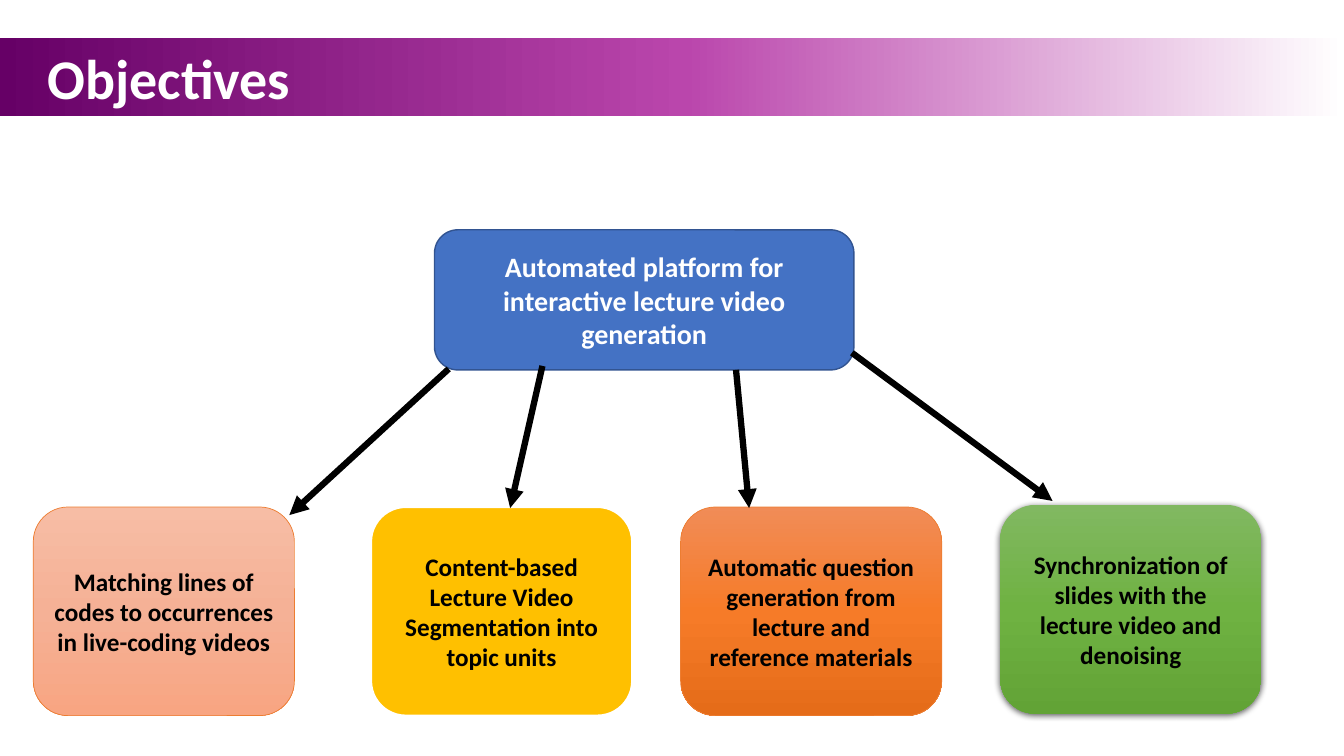
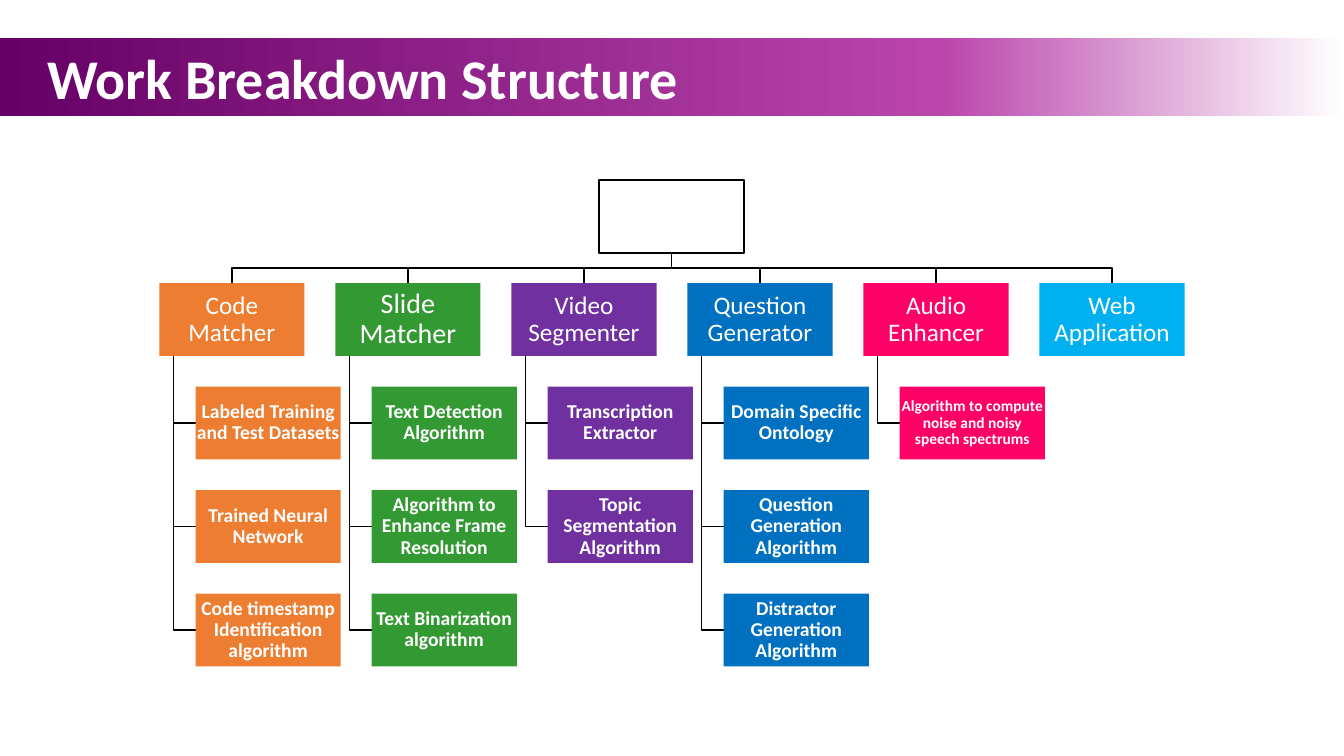
from lxml import etree
from pptx import Presentation
from pptx import util as u
from pptx.dml import color
from pptx.enum import shapes, text
from pptx.oxml import ns

COLOURS = {
    "white": "FFFFFF", "black": "000000", "plum": "660066", "orchid": "BA46AC",
    "blue": "4472C4", "navy": "325491", "orange": "ED7D31", "gold": "FFC000",
    "green": "339933", "purple": "7030A0", "azure": "0070C0",
    "pink": "FF0066", "sky": "00B0F0",
}
# Vertical gradients, from top to middle to bottom
SHADES = {
    "peach": ("F7BDA5", "F5B196", "F8A582"),
    "tangerine": ("F18C57", "F67B28", "E56C19"),
    "leaf": ("81B861", "6FB242", "62A336"),
}


def rgb(name):
    return color.RGBColor.from_string(COLOURS[name])


def add_xml(parent, tag, **attributes):
    return etree.SubElement(parent, ns.qn(tag), attributes)


class Board:
    """Holds the shared style and the slide being drawn."""

    font = "Calibri"

    def __init__(self):
        self.deck = Presentation()
        self.deck.slide_width = u.Inches(13.33)
        self.deck.slide_height = u.Inches(7.5)
        self.page = None

    def start_page(self, title, middle_stop):
        """Open a slide whose title is a band fading to white."""
        self.page = self.deck.slides.add_slide(self.deck.slide_layouts[5])
        band = self.page.shapes.title
        band.left, band.top = u.Inches(0), u.Inches(0.38)
        band.width, band.height = u.Inches(13.33), u.Inches(0.77)
        self.gradient(band, (COLOURS["plum"], COLOURS["orchid"], COLOURS["white"]),
                      middle_stop, 0)
        self.label(band, title, 40, "white", True, text.PP_ALIGN.LEFT)
        band.text_frame.margin_left = u.Inches(0.47)

    def gradient(self, shape, hexes, middle_stop, angle):
        shape.fill.gradient()
        shape.fill.gradient_angle = angle
        stops = shape.element.spPr.find(ns.qn("a:gradFill")).find(ns.qn("a:gsLst"))
        for stop in list(stops):
            stops.remove(stop)
        for position, value in zip((0, middle_stop, 100), hexes):
            stop = add_xml(stops, "a:gs", pos=str(position * 1000))
            add_xml(stop, "a:srgbClr", val=value)

    def label(self, shape, words, size, ink, bold, align=text.PP_ALIGN.CENTER):
        frame = shape.text_frame
        frame.word_wrap = True
        frame.auto_size = text.MSO_AUTO_SIZE.NONE
        frame.vertical_anchor = text.MSO_ANCHOR.MIDDLE
        para = frame.paragraphs[0]
        para.alignment = align
        span = para.add_run()
        span.text = words
        span.font.name, span.font.size = self.font, u.Pt(size)
        span.font.bold, span.font.color.rgb = bold, rgb(ink)

    def box(self, left, top, width, height, fill, line=None, weight=1, rounded=False):
        kind = shapes.MSO_SHAPE.ROUNDED_RECTANGLE if rounded else shapes.MSO_SHAPE.RECTANGLE
        box = self.page.shapes.add_shape(
            kind, u.Inches(left), u.Inches(top), u.Inches(width), u.Inches(height))
        box.shadow.inherit = False
        if fill in SHADES:
            self.gradient(box, SHADES[fill], 50, 270)
        else:
            box.fill.solid()
            box.fill.fore_color.rgb = rgb(fill)
        if line:
            box.line.color.rgb = rgb(line)
            box.line.width = u.Pt(weight)
        else:
            box.line.fill.background()
        return box

    def drop_shadow(self, box):
        effects = box.element.spPr.find(ns.qn("a:effectLst"))
        shadow = add_xml(effects, "a:outerShdw", blurRad=str(u.Pt(4.5)),
                         dist=str(u.Pt(1.5)), dir="5400000", algn="ctr", rotWithShape="0")
        ink = add_xml(shadow, "a:srgbClr", val=COLOURS["black"])
        add_xml(ink, "a:alpha", val="63000")

    def arrow(self, start, end):
        points = [u.Inches(value) for value in (*start, *end)]
        arrow = self.page.shapes.add_connector(shapes.MSO_CONNECTOR.STRAIGHT, *points)
        arrow.line.color.rgb = rgb("black")
        arrow.line.width = u.Pt(4.5)
        properties = arrow.element.spPr
        add_xml(properties.find(ns.qn("a:ln")), "a:tailEnd", type="triangle")
        add_xml(properties, "a:effectLst")

    def branch(self, *points):
        """Draw an open, bent line through the points."""
        first, *rest = [(u.Inches(x), u.Inches(y)) for x, y in points]
        builder = self.page.shapes.build_freeform(*first)
        builder.add_line_segments(rest, close=False)
        line = builder.convert_to_shape()
        line.shadow.inherit = False
        line.fill.background()
        line.line.color.rgb = rgb("black")
        line.line.width = u.Pt(1)


def draw_objectives(board):
    board.start_page("Objectives", 51)

    # Platform
    platform = board.box(4.31, 2.28, 4.16, 1.39, "blue", "navy", rounded=True)
    board.label(platform, "Automated platform for interactive lecture video generation",
                20, "white", True)

    # Four objectives
    objectives = [
        (0.33, 5.03, "peach", "orange", 0.5,
         "Matching lines of codes to occurrences in live-coding videos"),
        (3.68, 5.03, "gold", "white", 1.5,
         "Content-based Lecture Video Segmentation into topic units"),
        (6.75, 5.03, "tangerine", "orange", 0.5,
         "Automatic question generation from lecture and reference materials"),
        (9.92, 5.01, "leaf", None, 0,
         "Synchronization of slides with the lecture video and denoising"),
    ]
    for left, top, fill, line, weight, words in objectives:
        box = board.box(left, top, 2.59, 2.07, fill, line, weight, rounded=True)
        board.label(box, words, 18, "black", True)
        if line is None:
            board.drop_shadow(box)

    # Arrows
    for start, end in [((8.45, 3.5), (10.44, 4.97)), ((7.3, 3.67), (7.43, 5.04)),
                       ((5.38, 3.63), (5.06, 5.04)), ((4.45, 3.66), (2.87, 5.11))]:
        board.arrow(start, end)


def draw_breakdown(board):
    board.start_page("Work Breakdown Structure", 70)
    width, height = 1.44, 0.72
    first_left, last_left = 1.58, 10.31
    head_top, last_top = 2.81, 5.89
    root_left, root_top = 5.94, 1.79
    indent, trunk = 0.36, 0.14

    # Module, colour, heading size, task size, tasks
    modules = [
        ("Code Matcher", "orange", 18, 14,
         ["Labeled Training and Test Datasets", "Trained Neural Network",
          "Code timestamp Identification algorithm"]),
        ("Slide Matcher", "green", 20, 14,
         ["Text Detection Algorithm", "Algorithm to Enhance Frame Resolution",
          "Text Binarization algorithm"]),
        ("Video Segmenter", "purple", 18, 14,
         ["Transcription Extractor", "Topic Segmentation Algorithm"]),
        ("Question Generator", "azure", 18, 14,
         ["Domain Specific Ontology", "Question Generation Algorithm",
          "Distractor Generation Algorithm"]),
        ("Audio Enhancer", "pink", 18, 11,
         ["Algorithm to compute noise and noisy speech spectrums"]),
        ("Web Application", "sky", 18, 14, []),
    ]
    column_step = (last_left - first_left) / (len(modules) - 1)
    row_step = (last_top - head_top) / 3

    def node(left, top, fill, words, size, bold):
        box = board.box(left, top, width, height, fill)
        board.label(box, words, size, "white", bold)
        frame = box.text_frame
        frame.margin_left = frame.margin_right = u.Inches(0.01)
        frame.margin_top = frame.margin_bottom = u.Inches(0.01)
        frame.paragraphs[0].line_spacing = 0.9

    # Root
    board.box(root_left, root_top, width, height, "white", "black", 1.5)
    root_middle, root_bottom = root_left + width / 2, root_top + height
    rail = (root_bottom + head_top) / 2

    # Modules with their tasks
    for column, (name, fill, head_size, task_size, tasks) in enumerate(modules):
        left = first_left + column * column_step
        middle = left + width / 2
        board.branch((root_middle, root_bottom), (root_middle, rail),
                     (middle, rail), (middle, head_top))
        node(left, head_top, fill, name, head_size, False)
        for row, task in enumerate(tasks, start=1):
            top = head_top + row * row_step
            board.branch((left + trunk, head_top + height),
                         (left + trunk, top + height / 2),
                         (left + indent, top + height / 2))
            node(left + indent, top, fill, task, task_size, True)


def main():
    board = Board()
    draw_objectives(board)
    draw_breakdown(board)
    board.deck.save("out.pptx")


if __name__ == "__main__":
    main()
